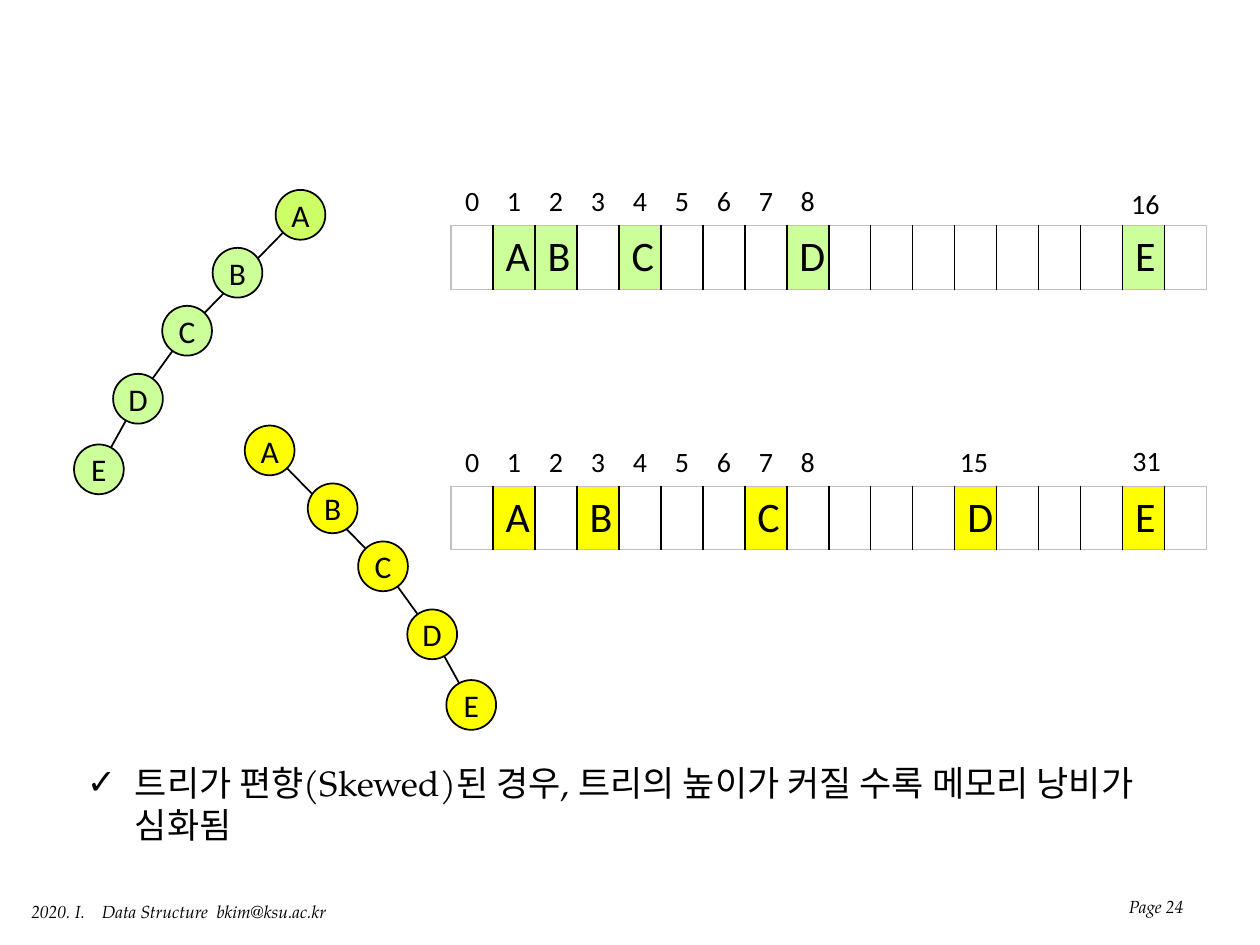
from lxml import etree
from pptx import Presentation
from pptx.dml.color import RGBColor
from pptx.enum.shapes import MSO_CONNECTOR, MSO_SHAPE
from pptx.enum.text import MSO_ANCHOR, MSO_AUTO_SIZE, PP_ALIGN
from pptx.oxml.ns import qn
from pptx.util import Inches, Pt

STRAIGHT, ELLIPSE = MSO_CONNECTOR.STRAIGHT, MSO_SHAPE.OVAL
TOP, MIDDLE, BOTTOM = MSO_ANCHOR.TOP, MSO_ANCHOR.MIDDLE, MSO_ANCHOR.BOTTOM
LEFT, CENTER, RIGHT = PP_ALIGN.LEFT, PP_ALIGN.CENTER, PP_ALIGN.RIGHT
NO_AUTOFIT = MSO_AUTO_SIZE.NONE

BLACK = RGBColor(0x00, 0x00, 0x00)
GRAY = RGBColor(0xC0, 0xC0, 0xC0)
LIME = RGBColor(0xCC, 0xFF, 0x66)
GREEN = RGBColor(0xCC, 0xFF, 0x99)
YELLOW = RGBColor(0xFF, 0xFF, 0x00)

SANS, SERIF = "Calibri", "TeX Gyre Pagella"
PLAIN_TABLE_STYLE = "{2D5ABB26-0587-4C30-8999-92F81FD0307C}"

# The slide is a grid of 100 columns by 75 rows
COLUMNS, ROWS = 100, 75
NODE_SIZE = 3.95
CELL_COUNT = 18
ARRAY_LEFT, ARRAY_WIDTH, ARRAY_HEIGHT = 35.8, 60, 4.1
# Steps of a skewed tree from its root, as columns and rows
TREE_STEPS = {"A": (0, 0), "B": (5, 4.6), "C": (9, 9.2), "D": (12.9, 14.6), "E": (16, 20.2)}
# The edge from A to C runs behind B
TREE_EDGES = ("AC", "CD", "DE")


class SlideBuilder:
    def __init__(self, presentation):
        self.unit_x = presentation.slide_width / COLUMNS
        self.unit_y = presentation.slide_height / ROWS
        self.slide = presentation.slides.add_slide(presentation.slide_layouts[1])
        title = self.slide.shapes.title
        title.element.getparent().remove(title.element)

    def x(self, columns):
        return round(columns * self.unit_x)

    def y(self, rows):
        return round(rows * self.unit_y)

    def box(self, left, top, width, height):
        return self.x(left), self.y(top), self.x(width), self.y(height)

    def style(self, paragraph, name, size, align, italic=False):
        paragraph.alignment = align
        font = paragraph.font
        font.name, font.size, font.italic = name, Pt(size), italic
        font.color.rgb = BLACK

    def text(self, text, box, name, size, align, anchor, italic=False, tabs=()):
        frame = self.slide.shapes.add_textbox(*self.box(*box)).text_frame
        frame.word_wrap = True
        frame.vertical_anchor = anchor
        paragraph = frame.paragraphs[0]
        paragraph.text = text
        if tabs:
            frame.margin_right = 0
            tab_list = etree.SubElement(paragraph._p.get_or_add_pPr(), qn("a:tabLst"))
            for position in tabs:
                etree.SubElement(tab_list, qn("a:tab"), pos=str(self.x(position)), algn="l")
        self.style(paragraph, name, size, align, italic)

    def check_list(self, text, box):
        body = self.slide.placeholders[1]
        body.left, body.top, body.width, body.height = self.box(*box)
        frame = body.text_frame
        frame.auto_size = NO_AUTOFIT
        frame.vertical_anchor = TOP
        paragraph = frame.paragraphs[0]
        paragraph.text = text
        paragraph.space_before = Pt(0)
        properties = paragraph._p.get_or_add_pPr()
        properties.set("marL", str(self.x(3.8)))
        properties.set("indent", str(-self.x(3.8)))
        etree.SubElement(properties, qn("a:buChar"), char="✓")
        self.style(paragraph, SERIF, 20, LEFT)

    def edge(self, start, end):
        line = self.slide.shapes.add_connector(
            STRAIGHT, self.x(start[0]), self.y(start[1]), self.x(end[0]), self.y(end[1]))
        line.line.color.rgb = BLACK
        line.line.width = Pt(1)
        etree.SubElement(line._element.spPr, qn("a:effectLst"))

    def node(self, label, center, color):
        left, top = (value - NODE_SIZE / 2 for value in center)
        shape = self.slide.shapes.add_shape(ELLIPSE, *self.box(left, top, NODE_SIZE, NODE_SIZE))
        shape.shadow.inherit = False
        shape.fill.solid()
        shape.fill.fore_color.rgb = color
        shape.line.color.rgb = BLACK
        shape.line.width = Pt(1)
        frame = shape.text_frame
        frame.margin_left = frame.margin_right = frame.margin_top = frame.margin_bottom = 0
        frame.vertical_anchor = MIDDLE
        frame.word_wrap = False
        frame.paragraphs[0].text = label
        self.style(frame.paragraphs[0], SANS, 18, CENTER)

    def skewed_tree(self, root, direction, color, root_color):
        centers = {label: (root[0] + direction * across, root[1] + down)
                   for label, (across, down) in TREE_STEPS.items()}
        for parent, child in TREE_EDGES:
            self.edge(centers[parent], centers[child])
        for label, center in centers.items():
            self.node(label, center, root_color if label == "A" else color)

    def border(self, cell, side, color):
        line = etree.SubElement(cell._tc.get_or_add_tcPr(), qn(f"a:{side}"), w=str(Pt(1)))
        fill = etree.SubElement(line, qn("a:solidFill"))
        etree.SubElement(fill, qn("a:srgbClr"), val=str(color))

    def table_row(self, top, texts, size, color=None):
        """Draw one row of cells; with a color it is a bordered array."""
        table = self.slide.shapes.add_table(
            1, CELL_COUNT, *self.box(ARRAY_LEFT, top, ARRAY_WIDTH, ARRAY_HEIGHT)).table
        table.first_row = table.horz_banding = False
        table._tbl.tblPr.find(qn("a:tableStyleId")).text = PLAIN_TABLE_STYLE
        for index in range(CELL_COUNT):
            cell = table.cell(0, index)
            cell.vertical_anchor = MIDDLE
            if color is not None:
                self.border(cell, "lnL", BLACK if index else GRAY)
                self.border(cell, "lnR", BLACK if index < CELL_COUNT - 1 else GRAY)
                self.border(cell, "lnT", GRAY)
                self.border(cell, "lnB", GRAY)
            if color is not None and index in texts:
                cell.fill.solid()
                cell.fill.fore_color.rgb = color
            else:
                cell.fill.background()
            paragraph = cell.text_frame.paragraphs[0]
            paragraph.text = texts.get(index, "")
            self.style(paragraph, SANS, size if index in texts else 16, CENTER)

    def array(self, top, letters, color, far_labels):
        self.table_row(top + 3.9, letters, 24, color)
        self.table_row(top, {index: str(index) for index in range(9)}, 16)
        for label, left, label_top in far_labels:
            self.text(label, (left, label_top, 4.8, 3.7), SANS, 16, CENTER, MIDDLE)


def main():
    presentation = Presentation()
    presentation.slide_width, presentation.slide_height = Inches(10), Inches(7.5)
    builder = SlideBuilder(presentation)

    # Left-skewed tree and its array
    builder.skewed_tree((23.85, 17.05), -1, GREEN, LIME)
    builder.array(14, {1: "A", 2: "B", 4: "C", 8: "D", 16: "E"}, GREEN, [("16", 88.5, 14.3)])

    # Right-skewed tree and its array
    builder.skewed_tree((21.4, 35.75), 1, YELLOW, YELLOW)
    builder.array(34.7, {1: "A", 3: "B", 7: "C", 12: "D", 16: "E"}, YELLOW,
                  [("15", 74.9, 34.8), ("31", 88.6, 34.7)])

    # Conclusion
    builder.check_list("트리가 편향(Skewed)된 경우, 트리의 높이가 커질 수록 메모리 낭비가 심화됨",
                       (5.9, 59.9, 91.3, 7.7))

    # Footer and page number
    builder.text("2020. I.\tData Structure\tbkim@ksu.ac.kr", (1.5, 71, 25.8, 2.7),
                 SERIF, 10, LEFT, TOP, italic=True, tabs=(5.6, 14.7))
    builder.text("Page 24", (76.7, 68.3, 18.2, 5), SERIF, 10, RIGHT, BOTTOM, italic=True)

    presentation.save("out.pptx")


if __name__ == "__main__":
    main()
